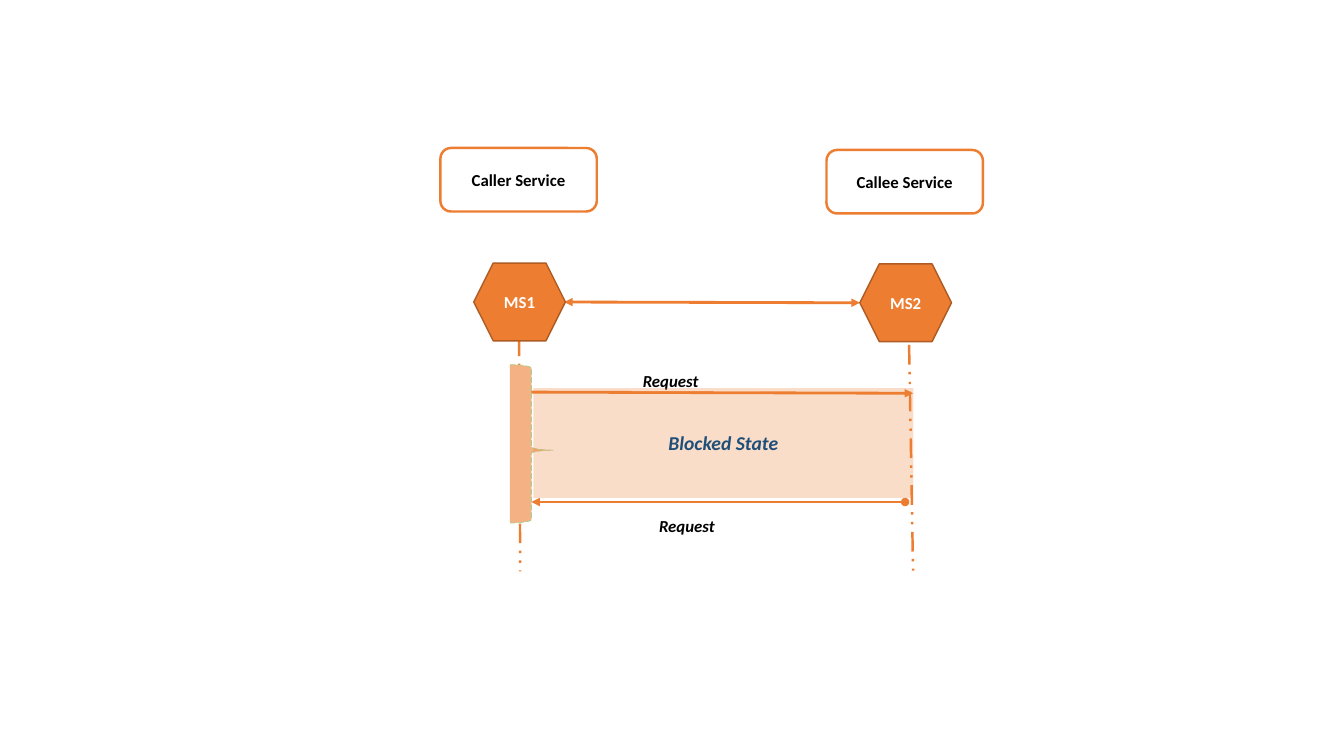
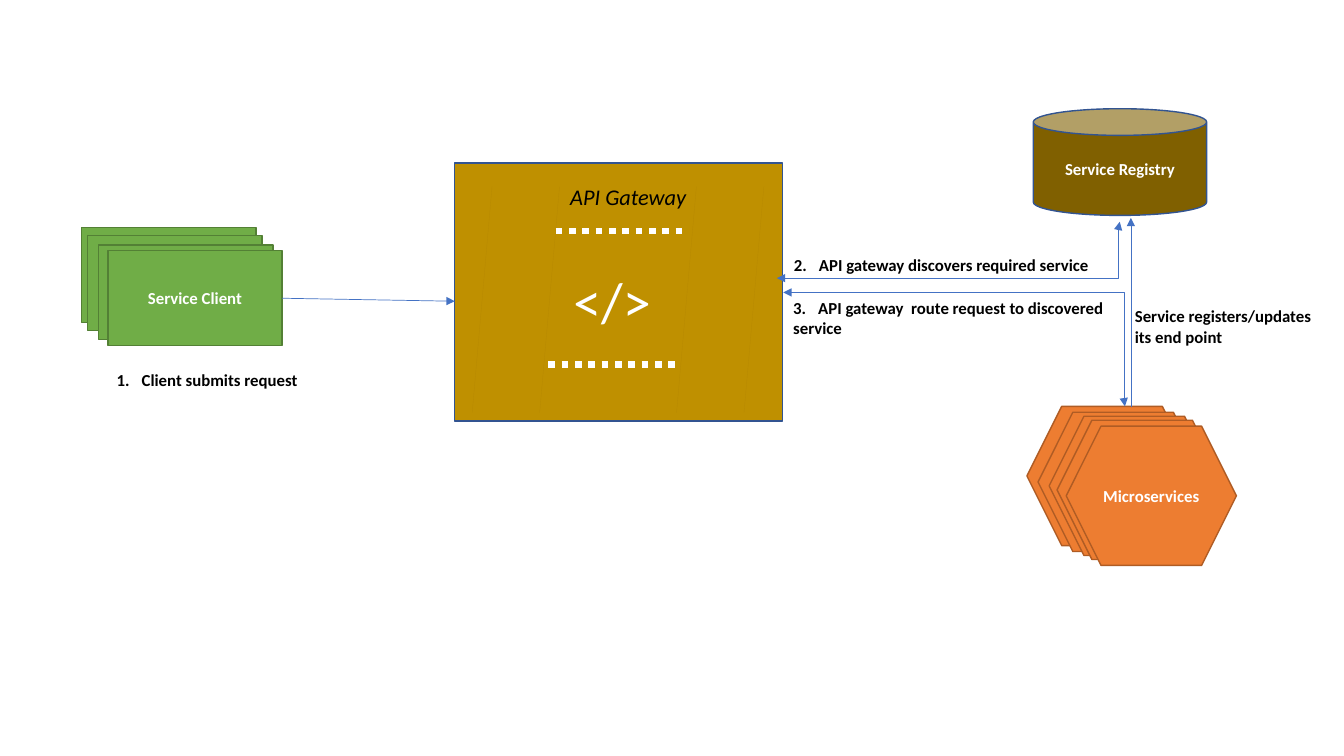
import pptx
import pptx.dml.color
import pptx.enum.dml
import pptx.enum.shapes
import pptx.enum.text
import pptx.oxml.ns
import pptx.util
from lxml import etree

Cm = pptx.util.Cm
Pt = pptx.util.Pt
RGBColor = pptx.dml.color.RGBColor
SHAPE = pptx.enum.shapes.MSO_SHAPE
CONNECTOR = pptx.enum.shapes.MSO_CONNECTOR
DASH = pptx.enum.dml.MSO_LINE
ANCHOR = pptx.enum.text.MSO_ANCHOR
ALIGN = pptx.enum.text.PP_ALIGN
qn = pptx.oxml.ns.qn

# Shared style
FONT = "Calibri"
WHITE = RGBColor(0xFF, 0xFF, 0xFF)
BLACK = RGBColor(0x00, 0x00, 0x00)
ORANGE = RGBColor(0xED, 0x7D, 0x31)
DARK_ORANGE = RGBColor(0xAF, 0x5C, 0x24)
PEACH = RGBColor(0xF4, 0xB1, 0x83)
LIGHT_GREEN = RGBColor(0xA9, 0xD1, 0x8E)
GREEN = RGBColor(0x70, 0xAD, 0x47)
DARK_GREEN = RGBColor(0x53, 0x80, 0x35)
GOLD = RGBColor(0xBF, 0x90, 0x00)
SHADED_GOLD = RGBColor(0xB8, 0x8A, 0x00)
BROWN = RGBColor(0x80, 0x60, 0x00)
BLUE = RGBColor(0x44, 0x72, 0xC4)
EDGE_BLUE = RGBColor(0x32, 0x54, 0x91)
NAVY = RGBColor(0x1F, 0x4E, 0x79)
NUMBER_INDENT = Cm(0.63)


def add_run(p, text, size, color, bold, italic):
    r = p.add_run()
    r.text = text
    font = r.font
    font.name, font.size = FONT, Pt(size)
    font.bold, font.italic = bold, italic
    font.color.rgb = color


def add_box(s, kind, box, fill, line=None, text="", width=1, color=WHITE,
            size=12, italic=False, align=ALIGN.CENTER, anchor=ANCHOR.MIDDLE):
    sp = s.shapes.add_shape(kind, *map(Cm, box))
    sp.shadow.inherit = False
    sp.fill.solid()
    sp.fill.fore_color.rgb = fill
    if line is None:
        sp.line.fill.background()
    else:
        sp.line.color.rgb = line
        sp.line.width = Pt(width)
    if text:
        tf = sp.text_frame
        tf.word_wrap = True
        tf.vertical_anchor = anchor
        p = tf.paragraphs[0]
        p.alignment = align
        add_run(p, text, size, color, True, italic)
    return sp


def add_stack(s, kind, corners, size, fill, line, text):
    """Overlapping shapes, the front one labelled; returns the front one."""
    for corner in corners[:-1]:
        add_box(s, kind, corner + size, fill, line)
    return add_box(s, kind, corners[-1] + size, fill, line, text)


def add_label(s, box, lines, size=12, color=BLACK, bold=True, italic=False):
    tf = s.shapes.add_textbox(*map(Cm, box)).text_frame
    tf.word_wrap = True
    for i, text in enumerate(lines):
        p = tf.add_paragraph() if i else tf.paragraphs[0]
        if "\t" in text:
            tabs = etree.SubElement(p._p.get_or_add_pPr(), qn("a:tabLst"))
            etree.SubElement(tabs, qn("a:tab"), pos=str(NUMBER_INDENT), algn="l")
        add_run(p, text, size, color, bold, italic)
    return tf


def number_paragraph(p):
    pPr = p._p.get_or_add_pPr()
    pPr.set("marL", str(NUMBER_INDENT))
    pPr.set("indent", str(-NUMBER_INDENT))
    etree.SubElement(pPr, qn("a:buFont"), typeface="+mj-lt")
    etree.SubElement(pPr, qn("a:buAutoNum"), type="arabicPeriod")


def add_line(s, start, end, color, width, dash=None, head=None, tail=None,
             bend=None):
    """Straight line, or an elbow when bend gives the turn as a share of 1."""
    kind = CONNECTOR.STRAIGHT if bend is None else CONNECTOR.ELBOW
    cx = s.shapes.add_connector(kind, *map(Cm, start + end))
    cx.line.color.rgb = color
    cx.line.width = Pt(width)
    if dash is not None:
        cx.line.dash_style = dash
    spPr = cx._element.spPr
    ln = spPr.find(qn("a:ln"))
    for tag, arrow in (("a:headEnd", head), ("a:tailEnd", tail)):
        if arrow:
            etree.SubElement(ln, qn(tag), type=arrow)
    if bend is not None:
        geometry = spPr.find(qn("a:prstGeom"))
        guides = geometry.find(qn("a:avLst"))
        if guides is None:
            guides = etree.SubElement(geometry, qn("a:avLst"))
        etree.SubElement(guides, qn("a:gd"), name="adj1",
                         fmla=f"val {round(bend * 100000)}")
    etree.SubElement(spPr, qn("a:effectLst"))
    return cx


def build_blocking_call(s):
    def request_label(box):
        add_box(s, SHAPE.RECTANGLE, box, WHITE, text="Request", color=BLACK,
                italic=True, align=ALIGN.LEFT, anchor=ANCHOR.TOP)

    # Lifelines and messages
    add_line(s, (13.08, 8.48), (13.11, 14.4), ORANGE, 1.75, DASH.DASH_DOT_DOT)
    for x, y, text in ((11.1, 3.73, "Caller Service"), (20.83, 3.78, "Callee Service")):
        add_box(s, SHAPE.ROUNDED_RECTANGLE, (x, y, 3.94, 1.6), WHITE, ORANGE,
                text, width=1.75, color=BLACK)
    add_line(s, (14.22, 7.61), (21.67, 7.63), ORANGE, 2,
             head="triangle", tail="triangle")
    add_line(s, (22.91, 8.69), (23.01, 14.38), ORANGE, 1.75, DASH.DASH_DOT_DOT)
    add_line(s, (13.23, 9.88), (23.01, 9.91), ORANGE, 2, tail="triangle")
    add_line(s, (13.39, 12.65), (22.81, 12.65), ORANGE, 2,
             head="triangle", tail="oval")

    # Waiting period of the caller
    brace = add_box(s, SHAPE.RIGHT_BRACE, (12.85, 9.19, 1.09, 3.99), PEACH,
                    LIGHT_GREEN, width=0.5)
    brace.line.dash_style = DASH.LONG_DASH
    brace.adjustments[0] = 0.08
    brace.adjustments[1] = 0.54

    # Services and message names
    request_label((15.95, 9.22, 3.2, 0.64))
    for x, y, text in ((11.94, 6.63, "MS1"), (21.67, 6.65, "MS2")):
        add_box(s, SHAPE.HEXAGON, (x, y, 2.31, 1.96), ORANGE, DARK_ORANGE, text)
    request_label((16.36, 12.88, 3.48, 1.04))

    # Translucent blocked area
    blocked = add_box(s, SHAPE.RECTANGLE, (13.44, 9.78, 9.58, 2.77), ORANGE,
                      text="Blocked State", color=NAVY, size=14, italic=True)
    rgb = blocked._element.spPr.find(qn("a:solidFill")).find(qn("a:srgbClr"))
    etree.SubElement(rgb, qn("a:alpha"), val="26000")


def build_gateway(s):
    # Gateway with code symbol
    add_box(s, SHAPE.RECTANGLE, (11.46, 4.11, 8.26, 6.5), GOLD, EDGE_BLUE)
    add_label(s, (14.12, 4.5, 4.78, 0.94), ["API Gateway"], 16, bold=False, italic=True)
    for x in (12.4, 14.1, 17.55, 19.25):
        add_line(s, (x, 4.7), (x - 0.5, 10.4), SHADED_GOLD, 0.25)
    for x, y in ((14, 5.82), (13.82, 9.19)):
        add_line(s, (x, y), (x + 3.21, y), WHITE, 4.75, DASH.ROUND_DOT)
    add_label(s, (14.2, 6.58, 2.77, 1.96), ["</>"], 40, WHITE, bold=False)

    # Clients, microservices and registry
    client = add_stack(
        s, SHAPE.RECTANGLE,
        [(2.06, 5.74), (2.21, 5.94), (2.49, 6.17), (2.72, 6.32)],
        (4.39, 2.39), GREEN, DARK_GREEN, "Service Client")
    add_stack(
        s, SHAPE.HEXAGON,
        [(25.88, 10.24), (26.16, 10.39), (26.44, 10.49), (26.64, 10.59), (26.87, 10.74)],
        (4.29, 3.51), ORANGE, DARK_ORANGE, "Microservices")
    request = add_line(s, (7.11, 7.52), (11.46, 7.59), BLUE, 0.5, tail="triangle")
    request.begin_connect(client, 3)
    add_box(s, SHAPE.CAN, (26.04, 2.74, 4.37, 2.69), BROWN, EDGE_BLUE, "Service Registry")

    # Numbered steps and their arrows
    tf = add_label(s, (2.69, 9.19, 5.23, 0.76), ["Client submits request"])
    number_paragraph(tf.paragraphs[0])
    add_label(s, (19.76, 6.3, 8.43, 0.76), ["2.\tAPI gateway discovers required service"])
    add_line(s, (19.58, 7.01), (28.22, 5.59), BLUE, 0.5,
             head="triangle", tail="triangle", bend=0.996)
    add_line(s, (28.5, 10.26), (28.5, 5.49), BLUE, 0.5, tail="triangle")
    add_label(s, (28.35, 7.59, 5.13, 1.27), ["Service registers/updates", "its end point"])
    add_line(s, (19.74, 7.37), (28.35, 10.24), BLUE, 0.5,
             head="triangle", tail="triangle", bend=0.997)
    add_label(s, (19.74, 7.37, 8.64, 1.27),
              ["3.\tAPI gateway  route request to discovered service"])


def main():
    prs = pptx.Presentation()
    prs.slide_width, prs.slide_height = Cm(33.87), Cm(19.05)
    for build in (build_blocking_call, build_gateway):
        build(prs.slides.add_slide(prs.slide_layouts[6]))
    prs.save("out.pptx")


if __name__ == "__main__":
    main()
